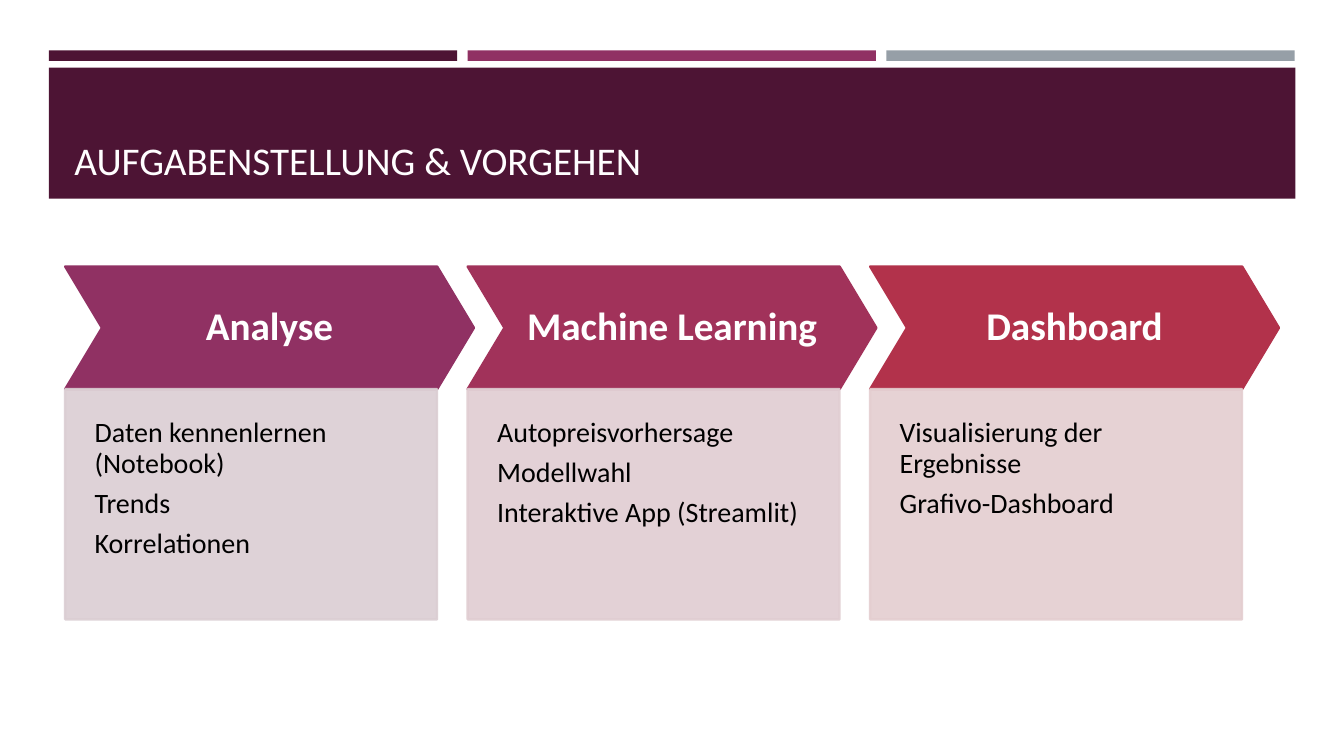
from pptx import Presentation
from pptx.dml.color import RGBColor
from pptx.enum.shapes import MSO_SHAPE
from pptx.enum.text import MSO_ANCHOR, MSO_AUTO_SIZE, PP_ALIGN
from pptx.oxml.ns import qn
from pptx.util import Pt
from lxml.etree import SubElement

FONT = "Calibri"
TITLE = "AUFGABENSTELLUNG & VORGEHEN"
BAR_COLORS = ["4D1434", "903163", "969FA7"]
STEPS = [
    ("Analyse", "903163", "DBCED3",
     ["Daten kennenlernen (Notebook)", "Trends", "Korrelationen"]),
    ("Machine Learning", "A1325A", "E0CDD2",
     ["Autopreisvorhersage", "Modellwahl", "Interaktive App (Streamlit)"]),
    ("Dashboard", "B2324B", "E4CED0",
     ["Visualisierung der Ergebnisse", "Grafivo-Dashboard"]),
]

# Layout in points
BAND_LEFT, BAND_TOP, BAND_WIDTH, BAND_HEIGHT = 34.9, 48.4, 890.4, 93.6
BAR_TOP, BAR_WIDTH, BAR_HEIGHT, BAR_STEP = 36, 291.6, 7.5, 299.1
STEP_LEFT, STEP_TOP, STEP_GAP = 46.6, 190.4, 287.5
ARROW_WIDTH, ARROW_HEIGHT = 291.9, 87.6
PANEL_WIDTH, PANEL_HEIGHT = 265.6, 164.4


def rgb(value):
    return RGBColor.from_string(value)


def add_block(kind, left, top, width, height, color, line_width=0, opacity=100):
    block = page.shapes.add_shape(kind, Pt(left), Pt(top), Pt(width), Pt(height))
    block.shadow.inherit = False
    block.fill.solid()
    block.fill.fore_color.rgb = rgb(color)
    if line_width:
        block.line.color.rgb = rgb(color)
        block.line.width = Pt(line_width)
    else:
        block.line.fill.background()
    if opacity < 100:
        for tint in block._element.spPr.iter(qn("a:srgbClr")):
            SubElement(tint, qn("a:alpha"), val=str(opacity * 1000))
    return block


def write(shape, text, size, color, margins, anchor, align=PP_ALIGN.LEFT,
          bold=False, spacing=0.9, after=0):
    frame = shape.text_frame
    frame.text = text
    frame.word_wrap = True
    frame.auto_size = MSO_AUTO_SIZE.NONE
    frame.vertical_anchor = anchor
    (frame.margin_left, frame.margin_top,
     frame.margin_right, frame.margin_bottom) = map(Pt, margins)
    for para in frame.paragraphs:
        para.alignment = align
        para.line_spacing = spacing
        para.space_before = Pt(0)
        para.space_after = Pt(after)
        for span in para.runs:
            span.font.name = FONT
            span.font.size = Pt(size)
            span.font.bold = bold
            span.font.color.rgb = rgb(color)


deck = Presentation()
deck.slide_width, deck.slide_height = Pt(960), Pt(540)
page = deck.slides.add_slide(deck.slide_layouts[5])

# Header bars and title band
for index, color in enumerate(BAR_COLORS):
    add_block(MSO_SHAPE.RECTANGLE, BAND_LEFT + index * BAR_STEP, BAR_TOP,
              BAR_WIDTH, BAR_HEIGHT, color)
add_block(MSO_SHAPE.RECTANGLE, BAND_LEFT, BAND_TOP, BAND_WIDTH, BAND_HEIGHT,
          BAR_COLORS[0])

# Title, brought in front of its band
title = page.shapes.title
title.left, title.top, title.width, title.height = map(Pt, (46, 55.4, 868.3, 79.9))
write(title, TITLE, 28, "FFFEFF", (7.2, 3.6, 7.2, 3.6), MSO_ANCHOR.BOTTOM,
      spacing=0.9)
page.shapes._spTree.append(title._element)

# Steps: arrow heading above a panel of points
for index, (heading, strong, pale, points) in enumerate(STEPS):
    left = STEP_LEFT + index * STEP_GAP
    arrow = add_block(MSO_SHAPE.CHEVRON, left, STEP_TOP, ARROW_WIDTH,
                      ARROW_HEIGHT, strong, 1.75)
    arrow.adjustments[0] = 0.3
    write(arrow, heading, 28, "FFFFFF", (10.8,) * 4, MSO_ANCHOR.MIDDLE,
          PP_ALIGN.CENTER, bold=True)
    panel = add_block(MSO_SHAPE.RECTANGLE, left, STEP_TOP + ARROW_HEIGHT,
                      PANEL_WIDTH, PANEL_HEIGHT, pale, 1.75, opacity=90)
    write(panel, "\n".join(points), 20, "000000", (21, 21, 21, 42),
          MSO_ANCHOR.TOP, after=7)

deck.save("out.pptx")
